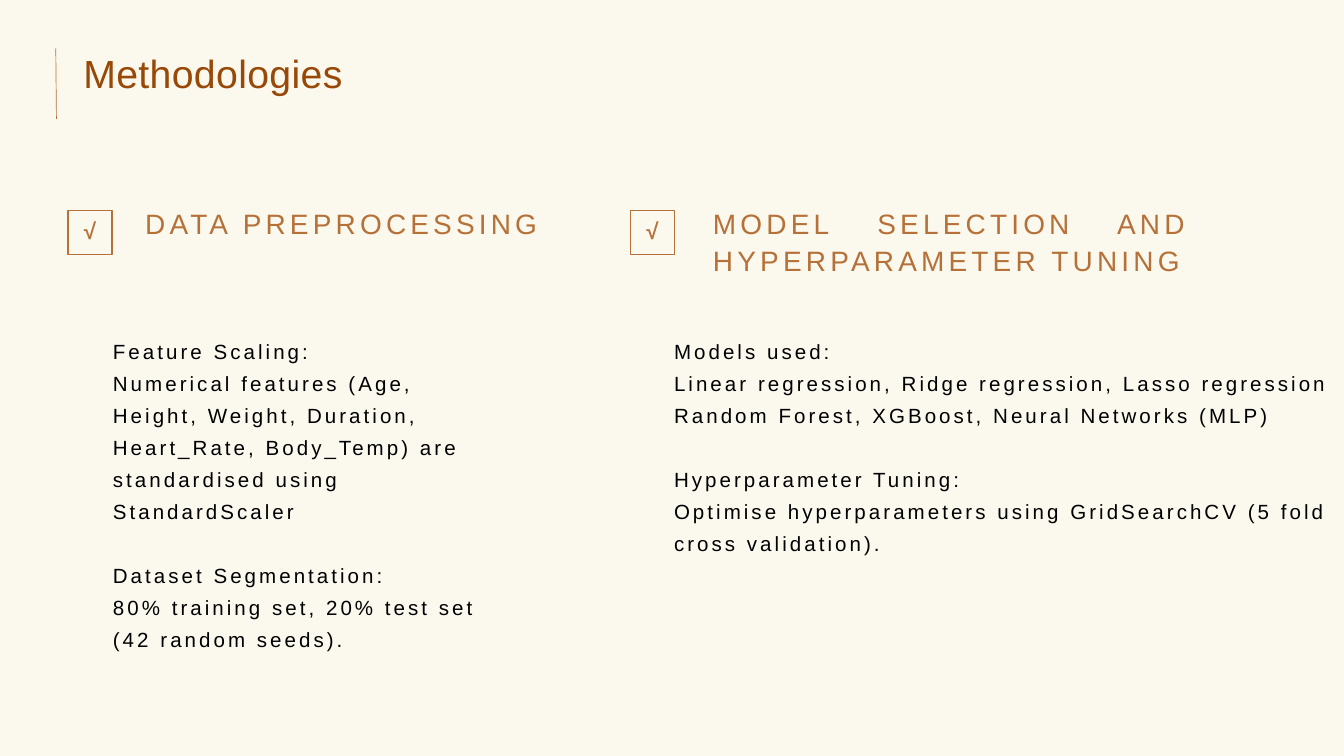
import pptx
import pptx.util
import pptx.dml.color
import pptx.enum.shapes
import pptx.enum.text
import lxml.etree

Inches = pptx.util.Inches
Pt = pptx.util.Pt
Align = pptx.enum.text.PP_ALIGN


def color(code):
    return pptx.dml.color.RGBColor.from_string(code)


class Deck:
    font = "Arial"
    paper = "FBF8EE"
    accent = "B67139"
    title = "984807"
    ink = "000000"

    def __init__(self, width, height):
        self.file = pptx.Presentation()
        self.file.slide_width = Inches(width)
        self.file.slide_height = Inches(height)
        self.slide = self.file.slides.add_slide(self.file.slide_layouts[6])
        back = self.slide.background.fill
        back.solid()
        back.fore_color.rgb = color(self.paper)

    def text(self, left, top, width, height, blocks, size, tint, lead, track,
             align=Align.LEFT, bold=False):
        box = self.slide.shapes.add_textbox(
            Inches(left), Inches(top), Inches(width), Inches(height))
        frame = box.text_frame
        frame.word_wrap = True
        frame.margin_left = frame.margin_right = 0
        frame.margin_top = frame.margin_bottom = 0
        frame.text = "\n".join(line for block in blocks for line in block)
        paras = iter(frame.paragraphs)
        for order, block in enumerate(blocks):
            for row in range(len(block)):
                para = next(paras)
                para.alignment = align
                para.line_spacing = Pt(lead)
                if order and row == 0:
                    para.space_before = Pt(lead)
                para.font.name = self.font
                para.font.size = Pt(size)
                para.font.bold = bold
                para.font.color.rgb = color(tint)
                props = para._p.get_or_add_pPr().get_or_add_defRPr()
                props.set("spc", str(round(track * 100)))

    def line(self, x1, y1, x2, y2):
        rule = self.slide.shapes.add_connector(
            pptx.enum.shapes.MSO_CONNECTOR.STRAIGHT,
            Inches(x1), Inches(y1), Inches(x2), Inches(y2))
        rule.line.color.rgb = color(self.accent)
        rule.line.width = Pt(0.75)
        lxml.etree.SubElement(
            rule._element.spPr, pptx.oxml.ns.qn("a:effectLst"))

    def check(self, left, top):
        side = 0.66
        box = self.slide.shapes.add_shape(
            pptx.enum.shapes.MSO_SHAPE.RECTANGLE,
            Inches(left), Inches(top), Inches(side), Inches(side))
        box.shadow.inherit = False
        box.fill.background()
        box.line.color.rgb = color(self.accent)
        box.line.width = Pt(1.5)
        self.text(left, top + 0.06, side, 0.43, [["√"]], 24, self.accent,
                  31.7, 3.6, Align.CENTER, True)

    def head(self, left, width, height, words):
        self.text(left, 3.02, width, height, [[words]], 30, self.accent,
                  39.6, 4.5, Align.JUSTIFY)

    def body(self, left, width, height, blocks):
        self.text(left, 4.93, width, height, blocks, 22, self.ink, 34.3, 3.3)


def main():
    deck = Deck(20, 11.25)
    deck.line(0.83, 0.72, 0.84, 1.77)
    deck.text(1.24, 0.73, 4.91, 0.7, [["Methodologies"]], 42, deck.title,
              50.4, 0.4)

    deck.check(1.01, 3.13)
    deck.head(2.16, 6.55, 0.53, "DATA PREPROCESSING")
    deck.body(1.68, 5.78, 4.72, [
        ["Feature Scaling:",
         "Numerical features (Age, Height, Weight, Duration, Heart_Rate, "
         "Body_Temp) are standardised using",
         "StandardScaler"],
        ["Dataset Segmentation:",
         "80% training set, 20% test set (42 random seeds)."],
    ])

    deck.check(9.38, 3.13)
    deck.head(10.61, 7.09, 1.08, "MODEL SELECTION AND HYPERPARAMETER TUNING")
    deck.body(10.03, 9.72, 4.24, [
        ["Models used:",
         "Linear regression, Ridge regression, Lasso regression",
         "Random Forest, XGBoost, Neural Networks (MLP)"],
        ["Hyperparameter Tuning:",
         "Optimise hyperparameters using GridSearchCV (5 fold cross "
         "validation)."],
    ])
    deck.file.save("out.pptx")


if __name__ == "__main__":
    main()
